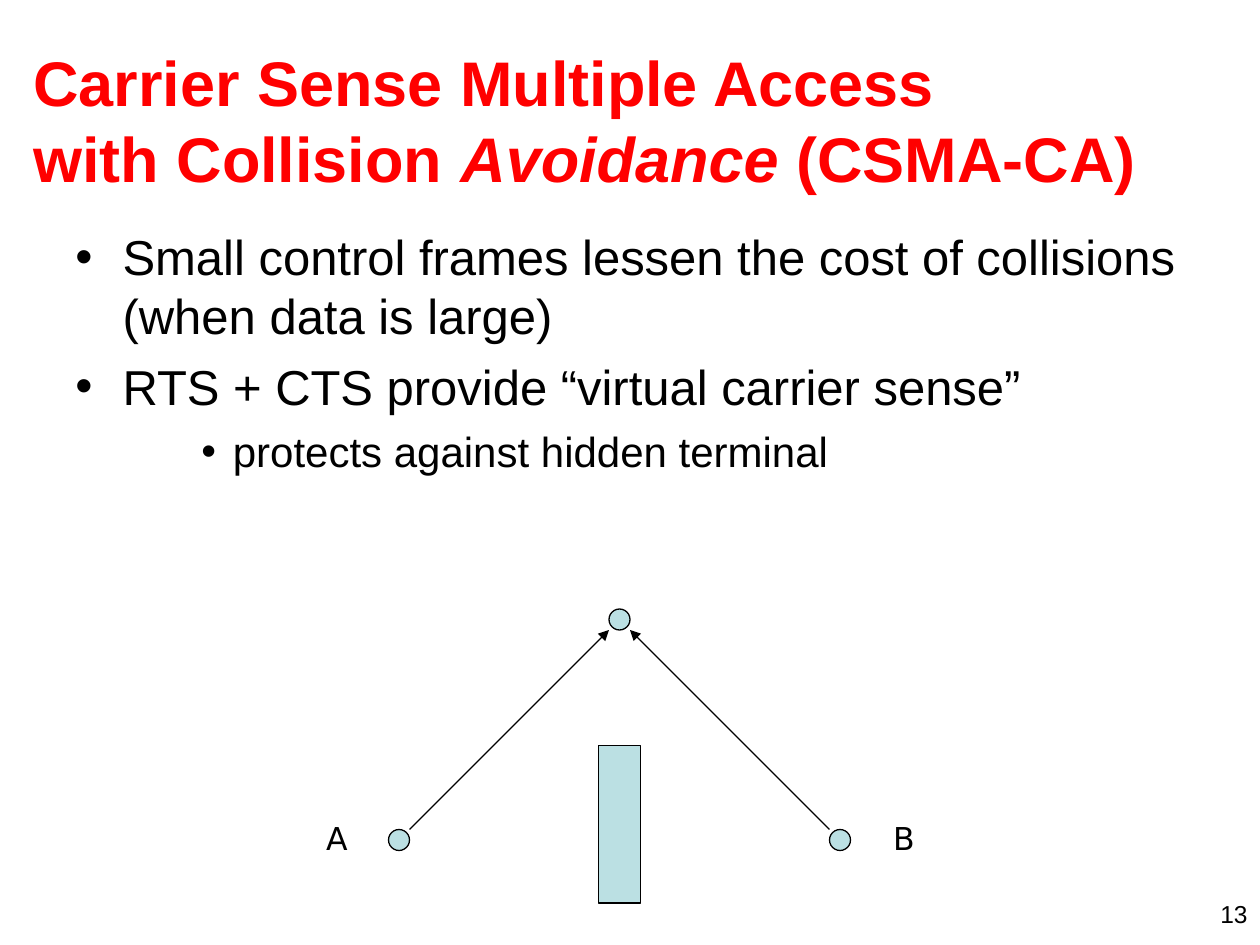
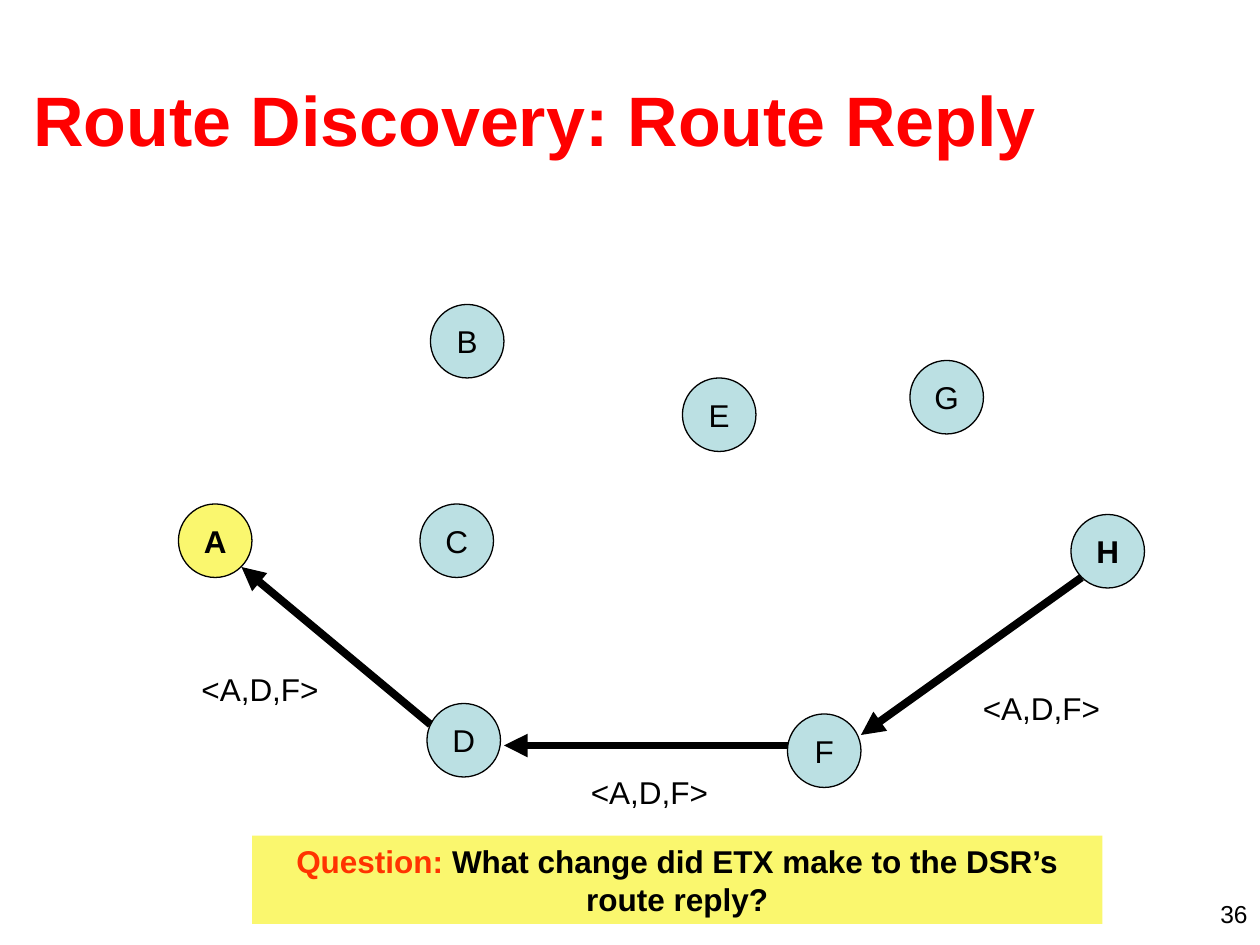
from lxml import etree
from pptx import Presentation
from pptx import util as u
from pptx.dml.color import RGBColor
from pptx.enum import shapes, text
from pptx.oxml.ns import qn

BLACK, RED, ORANGE = "000000", "FF0000", "FF3300"
AQUA, YELLOW = "BBE0E3", "FAF76E"
LEFT, CENTER, RIGHT = text.PP_ALIGN.LEFT, text.PP_ALIGN.CENTER, text.PP_ALIGN.RIGHT
OVAL, RECTANGLE = shapes.MSO_SHAPE.OVAL, shapes.MSO_SHAPE.RECTANGLE

COLLISION_TITLE = [
    ["Carrier Sense Multiple Access"],
    ["with Collision ", ("Avoidance", "italic"), " (CSMA-CA)"],
]
BULLETS = [
    ("Small control frames lessen the cost of collisions (when data is large)", 0),
    ("RTS + CTS provide “virtual carrier sense”", 0),
    ("protects against hidden terminal", 2),
]
BULLET_STYLES = {0: (28, 27, -27, 7), 2: (24, 90, -18, 6)}
DOT = 12
SENDERS = {"A": (222, 474, 179.3), "B": (474, 474, 503.3)}
RECEIVER = (348, 348)
WALL = (342, 426, 24, 90)

ROUTE_TITLE = [["Route Discovery: Route Reply"]]
NODE = 42
NODES = {
    "A": (102, 288), "B": (246, 174), "D": (244, 402), "G": (520, 206),
    "E": (390, 216), "F": (450, 408), "C": (240, 288), "H": (612, 294),
}
ROUTE_ENDS = "AH"
ROUTE = "<A,D,F>"
ROUTE_SIZE = (84, 29)
REPLIES = [
    ((246, 414), (138, 324), (108, 379.5)),
    ((450, 426), (288, 426), (330.5, 438)),
    ((618, 330), (492, 420), (554.5, 390)),
]
QUESTION = ("Question:", " What change did ETX make to the DSR’s route reply?")


def color(value):
    return RGBColor.from_string(value)


def points(*values):
    return [u.Pt(value) for value in values]


def style(para, size, ink=BLACK, bold=False, align=LEFT, face="Arial"):
    para.alignment = align
    para.font.name = face
    para.font.size = u.Pt(size)
    para.font.bold = bold
    para.font.color.rgb = color(ink)


def add_box(page, area, wrap=True):
    box = page.shapes.add_textbox(*points(*area))
    box.text_frame.word_wrap = wrap
    return box.text_frame


def add_label(page, words, area, size=18, wrap=False, **look):
    para = add_box(page, area, wrap).paragraphs[0]
    para.text = words
    style(para, size, **look)


def add_shape(page, kind, area, fill, outlined=True):
    shape = page.shapes.add_shape(kind, *points(*area))
    shape.shadow.inherit = False
    shape.fill.solid()
    shape.fill.fore_color.rgb = color(fill)
    if outlined:
        shape.line.color.rgb = color(BLACK)
        shape.line.width = u.Pt(0.75)
    else:
        shape.line.fill.background()
    return shape


def add_arrow(page, start, end, width):
    arrow = page.shapes.add_connector(
        shapes.MSO_CONNECTOR.STRAIGHT, *points(*start, *end))
    arrow.line.color.rgb = color(BLACK)
    arrow.line.width = u.Pt(width)
    etree.SubElement(arrow.line._get_or_add_ln(), qn("a:tailEnd"), type="triangle")
    etree.SubElement(arrow._element.spPr, qn("a:effectLst"))


def add_bullet(para, margin, indent):
    properties = para._p.get_or_add_pPr()
    properties.set("marL", str(u.Pt(margin)))
    properties.set("indent", str(u.Pt(indent)))
    tint = etree.SubElement(properties, qn("a:buClr"))
    etree.SubElement(tint, qn("a:srgbClr"), val=BLACK)
    etree.SubElement(properties, qn("a:buFont"), typeface="Arial")
    etree.SubElement(properties, qn("a:buChar"), char="•")


def start_page(deck, title, size, number):
    page = deck.slides.add_slide(deck.slide_layouts[6])
    frame = add_box(page, (12, 23, 690, 90))
    frame.vertical_anchor = text.MSO_ANCHOR.MIDDLE
    para = frame.paragraphs[0]
    for index, line in enumerate(title):
        if index:
            para.add_line_break()
        for part in line:
            span = para.add_run()
            if isinstance(part, tuple):
                span.text = part[0]
                span.font.italic = True
            else:
                span.text = part
    style(para, size, RED, bold=True)
    add_label(page, str(number), (552, 510, 168, 18), 14, wrap=True, align=RIGHT)
    return page


def build_collision_page(deck):
    page = start_page(deck, COLLISION_TITLE, 36, 13)
    frame = add_box(page, (36, 126, 648, 356))
    for index, (words, level) in enumerate(BULLETS):
        para = frame.add_paragraph() if index else frame.paragraphs[0]
        size, margin, indent, gap = BULLET_STYLES[level]
        para.text = words
        para.level = level
        add_bullet(para, margin, indent)
        if index:
            para.space_before = u.Pt(gap)
        style(para, size)

    x, y = RECEIVER
    add_shape(page, OVAL, (x, y, DOT, DOT), AQUA)
    add_shape(page, RECTANGLE, WALL, AQUA)
    for name, (left, top, label_left) in SENDERS.items():
        add_shape(page, OVAL, (left, top, DOT, DOT), AQUA)
        from_left = left < x
        start = (left + DOT if from_left else left, top)
        end = (x if from_left else x + DOT, y + DOT)
        add_arrow(page, start, end, 0.75)
        add_label(page, name, (label_left, 464.5, 28, 29), face="DejaVu Sans")


def build_route_page(deck):
    page = start_page(deck, ROUTE_TITLE, 40, 36)
    for name, (left, top) in NODES.items():
        fill = YELLOW if name == "A" else AQUA
        node = add_shape(page, OVAL, (left, top, NODE, NODE), fill)
        frame = node.text_frame
        frame.word_wrap = False
        frame.vertical_anchor = text.MSO_ANCHOR.MIDDLE
        para = frame.paragraphs[0]
        para.text = name
        style(para, 18, bold=name in ROUTE_ENDS, align=CENTER)
    for start, end, corner in REPLIES:
        add_arrow(page, start, end, 4.5)
        add_label(page, ROUTE, (*corner, *ROUTE_SIZE))

    banner = add_shape(page, RECTANGLE, (144, 477.5, 486, 50.5), YELLOW, outlined=False)
    frame = banner.text_frame
    frame.word_wrap = True
    frame.vertical_anchor = text.MSO_ANCHOR.TOP
    para = frame.paragraphs[0]
    style(para, 18, bold=True, align=CENTER)
    for words, ink in zip(QUESTION, (ORANGE, BLACK)):
        span = para.add_run()
        span.text = words
        span.font.color.rgb = color(ink)


def main():
    deck = Presentation()
    deck.slide_width, deck.slide_height = points(720, 540)
    build_collision_page(deck)
    build_route_page(deck)
    deck.save("out.pptx")


if __name__ == "__main__":
    main()
